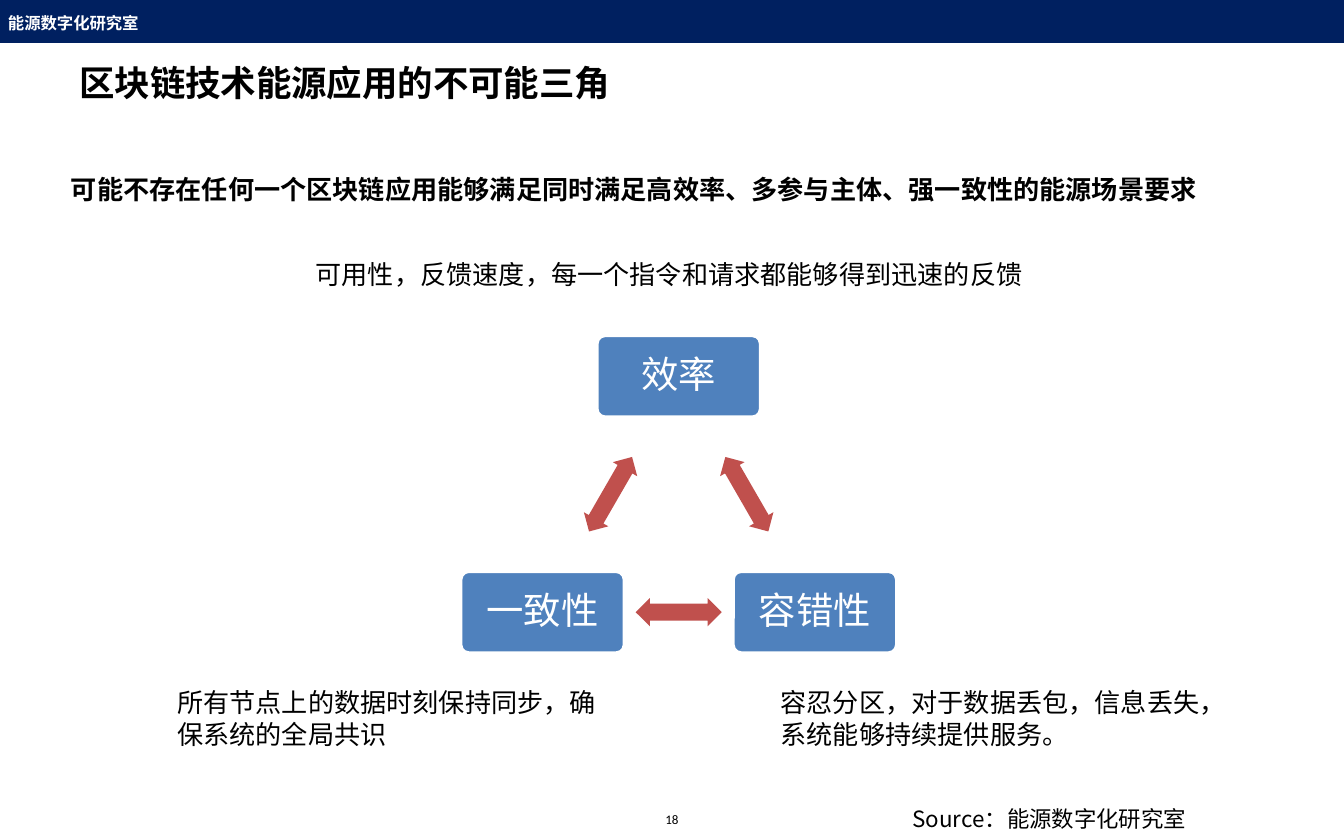
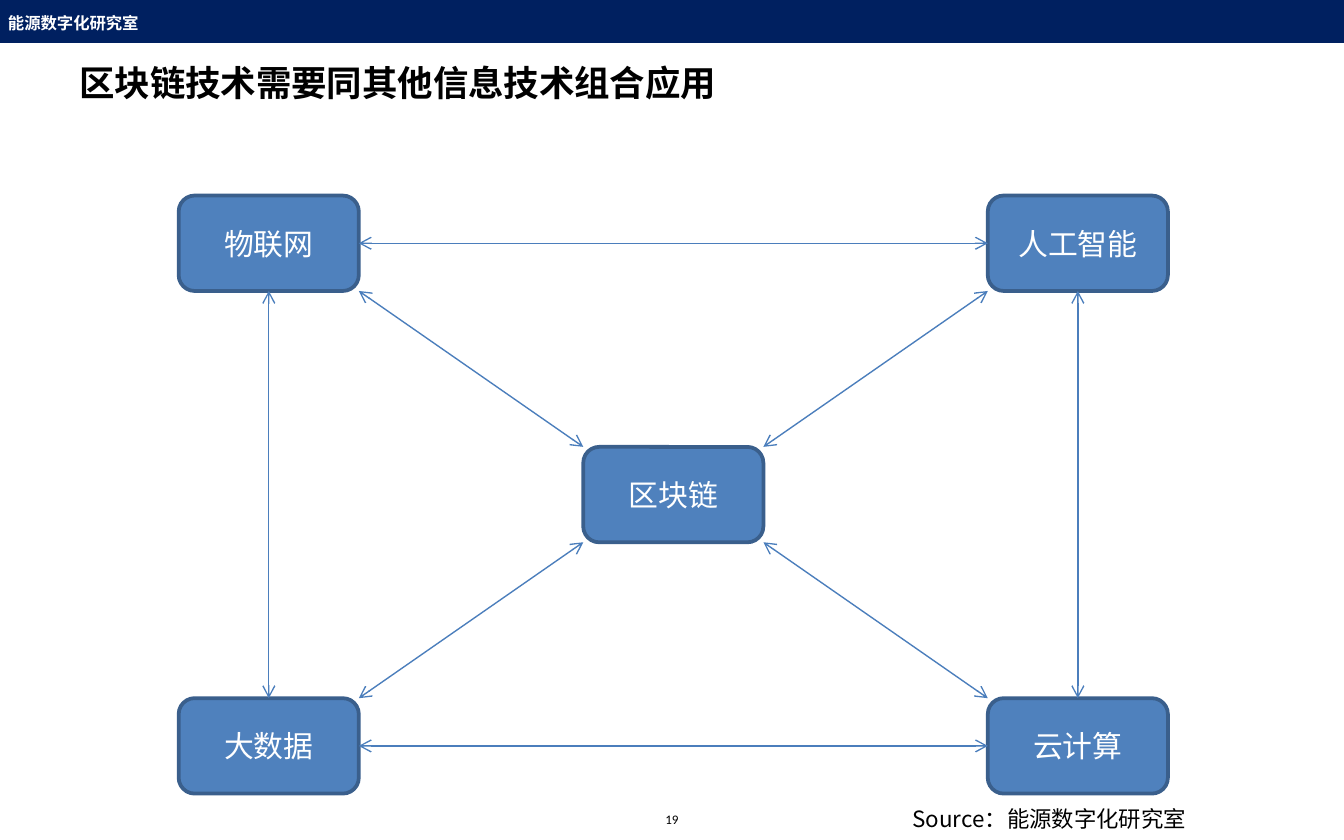
"""Build two slides on combining blockchain with energy applications."""
import math

import pptx
import pptx.dml.color
import pptx.enum.shapes
import pptx.enum.text
import pptx.oxml.ns
import pptx.oxml.xmlchemy
import pptx.util
from lxml import etree

LAB = "能源数字化研究室"
SOURCE = f"Source：{LAB}"
TITLES = ["区块链技术能源应用的不可能三角", "区块链技术需要同其他信息技术组合应用"]
TITLE_FONTS = ["Calibri", "Noto Sans CJK SC"]
FIRST_PAGE = 18

CLAIM = "可能不存在任何一个区块链应用能够满足同时满足高效率、多参与主体、强一致性的能源场景要求"
CORNERS = ["效率", "容错性", "一致性"]
EXPLANATIONS = [
    ("可用性，反馈速度，每一个指令和请求都能够得到迅速的反馈", (2.25, 1.87, 5.5, 0.34), False),
    ("所有节点上的数据时刻保持同步，确保系统的全局共识", (1.22, 5.06, 3.46, 0.57), True),
    ("容忍分区，对于数据丢包，信息丢失，系统能够持续提供服务。", (5.71, 5.06, 3.62, 0.57), True),
]

TECHNOLOGIES = {
    "物联网": (0, 0),
    "人工智能": (2, 0),
    "区块链": (1, 1),
    "大数据": (0, 2),
    "云计算": (2, 2),
}
LINKS = [
    ("物联网", "区块链"), ("人工智能", "区块链"), ("云计算", "区块链"), ("大数据", "区块链"),
    ("物联网", "人工智能"), ("大数据", "云计算"), ("物联网", "大数据"), ("人工智能", "云计算"),
]

WIDTH, HEIGHT = 10, 6.25
CJK = "Noto Sans CJK SC"
NAVY, BLUE, DARK_BLUE, LINK_BLUE = "002060", "4F81BD", "3A5F8C", "4B7EBC"
RED, WHITE, BLACK = "C0504D", "FFFFFF", "000000"

TRIANGLE_CENTRE, TRIANGLE_RADIUS = (5.05, 3.97), 1.17
CORNER_SIZE, ARROW_SIZE = (1.22, 0.61), (0.64, 0.21)
GRID_START, GRID_STEP, TECH_SIZE = (2, 1.81), (3.01, 1.87), (1.34, 0.71)

ALIGN = pptx.enum.text.PP_ALIGN
ANCHOR = pptx.enum.text.MSO_ANCHOR
PRESET = pptx.enum.shapes.MSO_SHAPE
inches = pptx.util.Inches
qn = pptx.oxml.ns.qn


def rgb(value):
    return pptx.dml.color.RGBColor.from_string(value)


def write(shape, text, size, colour=BLACK, bold=False, align=ALIGN.LEFT, latin=CJK,
          spacing=None, wrap=True, anchor=ANCHOR.MIDDLE, small_caps=False):
    frame = shape.text_frame
    frame.text = text
    frame.word_wrap = wrap
    frame.vertical_anchor = anchor
    paragraph = frame.paragraphs[0]
    paragraph.alignment = align
    if spacing:
        paragraph.line_spacing = spacing
    font = paragraph.font
    font.size = pptx.util.Pt(size)
    font.bold = bold
    font.name = latin
    font.color.rgb = rgb(colour)
    defaults = paragraph._p.pPr.find(qn("a:defRPr"))
    etree.SubElement(defaults, qn("a:ea")).set("typeface", CJK)
    if small_caps:
        defaults.set("cap", "small")


def add_text(slide, text, box, size, **style):
    write(slide.shapes.add_textbox(*map(inches, box)), text, size, anchor=ANCHOR.TOP, **style)


def add_block(slide, preset, centre, size, fill, line=None):
    corner = [c - s / 2 for c, s in zip(centre, size)]
    block = slide.shapes.add_shape(preset, *map(inches, (*corner, *size)))
    block.shadow.inherit = False
    block.fill.solid()
    block.fill.fore_color.rgb = rgb(fill)
    if line:
        block.line.color.rgb = rgb(line)
        block.line.width = pptx.util.Pt(2)
    else:
        block.line.fill.background()
    return block


def add_link(slide, start, end):
    link = slide.shapes.add_connector(
        pptx.enum.shapes.MSO_CONNECTOR.STRAIGHT, *map(inches, (*start, *end)))
    link.line.color.rgb = rgb(LINK_BLUE)
    link.line.width = pptx.util.Pt(0.75)
    outline = link.line._get_or_add_ln()
    for tip in ("a:headEnd", "a:tailEnd"):
        etree.SubElement(outline, qn(tip)).set("type", "arrow")
    etree.SubElement(link._element.spPr, qn("a:effectLst"))


def start_slide(deck, index):
    slide = deck.slides.add_slide(deck.slide_layouts[5])
    band = add_block(slide, PRESET.RECTANGLE, (WIDTH / 2, 0.16), (WIDTH, 0.32), NAVY)
    write(band, LAB, 11, WHITE, bold=True, small_caps=True)
    frame = band.text_frame
    frame.margin_left = frame.margin_right = inches(0.06)
    frame.margin_top = frame.margin_bottom = inches(0.06)
    title = slide.shapes.title
    title.left, title.top, title.width, title.height = map(inches, (0.5, 0.34, 9, 0.55))
    write(title, TITLES[index], 19, bold=True, align=ALIGN.JUSTIFY, latin=TITLE_FONTS[index])
    title.text_frame.margin_left = title.text_frame.margin_right = inches(0.09)
    add_text(slide, str(FIRST_PAGE + index), (4.85, 6, 0.3, 0.2), 7,
             align=ALIGN.CENTER, latin="Calibri", spacing=0.9, wrap=False)
    add_text(slide, SOURCE, (6.69, 5.94, 3.08, 0.33), 12)
    return slide


def build_triangle(slide):
    def around(radius, degrees):
        angle = math.radians(degrees)
        x, y = TRIANGLE_CENTRE
        return x + radius * math.sin(angle), y - radius * math.cos(angle)

    for index, label in enumerate(CORNERS):
        turn = index * 120
        corner = add_block(slide, PRESET.ROUNDED_RECTANGLE, around(TRIANGLE_RADIUS, turn),
                           CORNER_SIZE, BLUE, WHITE)
        corner.adjustments[0] = 0.1
        write(corner, label, 20, WHITE, align=ALIGN.CENTER, spacing=0.9)
        arrow = add_block(slide, PRESET.LEFT_RIGHT_ARROW,
                          around(TRIANGLE_RADIUS / 2, turn + 60), ARROW_SIZE, RED)
        arrow.adjustments[0], arrow.adjustments[1] = 0.6, 0.5
        arrow.rotation = turn + 60
    for text, box, wrap in EXPLANATIONS:
        add_text(slide, text, box, 14, wrap=wrap)
    add_text(slide, CLAIM, (0.43, 1.24, 8.64, 0.34), 14, bold=True, wrap=False)


def build_network(slide):
    centres = {
        name: [s + step * n for s, step, n in zip(GRID_START, GRID_STEP, cell)]
        for name, cell in TECHNOLOGIES.items()
    }
    for name, centre in centres.items():
        block = add_block(slide, PRESET.ROUNDED_RECTANGLE, centre, TECH_SIZE, BLUE, DARK_BLUE)
        write(block, name, 16, WHITE, align=ALIGN.CENTER)

    def edge(name, other):
        cells = zip(TECHNOLOGIES[name], TECHNOLOGIES[other])
        signs = [(b > a) - (b < a) for a, b in cells]
        return [c + sign * s / 2 for c, sign, s in zip(centres[name], signs, TECH_SIZE)]

    for first, second in LINKS:
        add_link(slide, edge(first, second), edge(second, first))


def main():
    deck = pptx.Presentation()
    deck.slide_width, deck.slide_height = inches(WIDTH), inches(HEIGHT)
    for index, build in enumerate([build_triangle, build_network]):
        build(start_slide(deck, index))
    deck.save("out.pptx")


if __name__ == "__main__":
    main()
